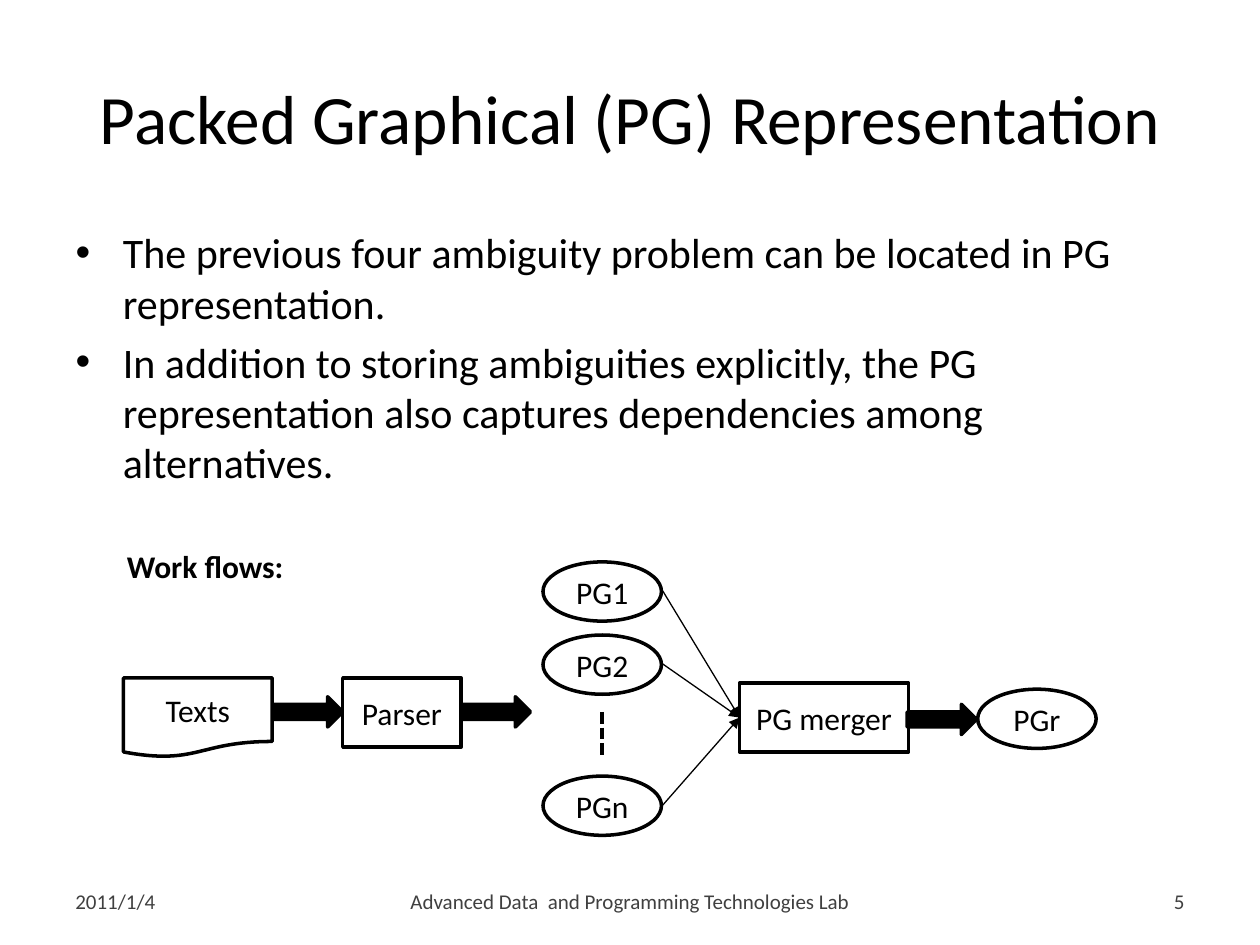
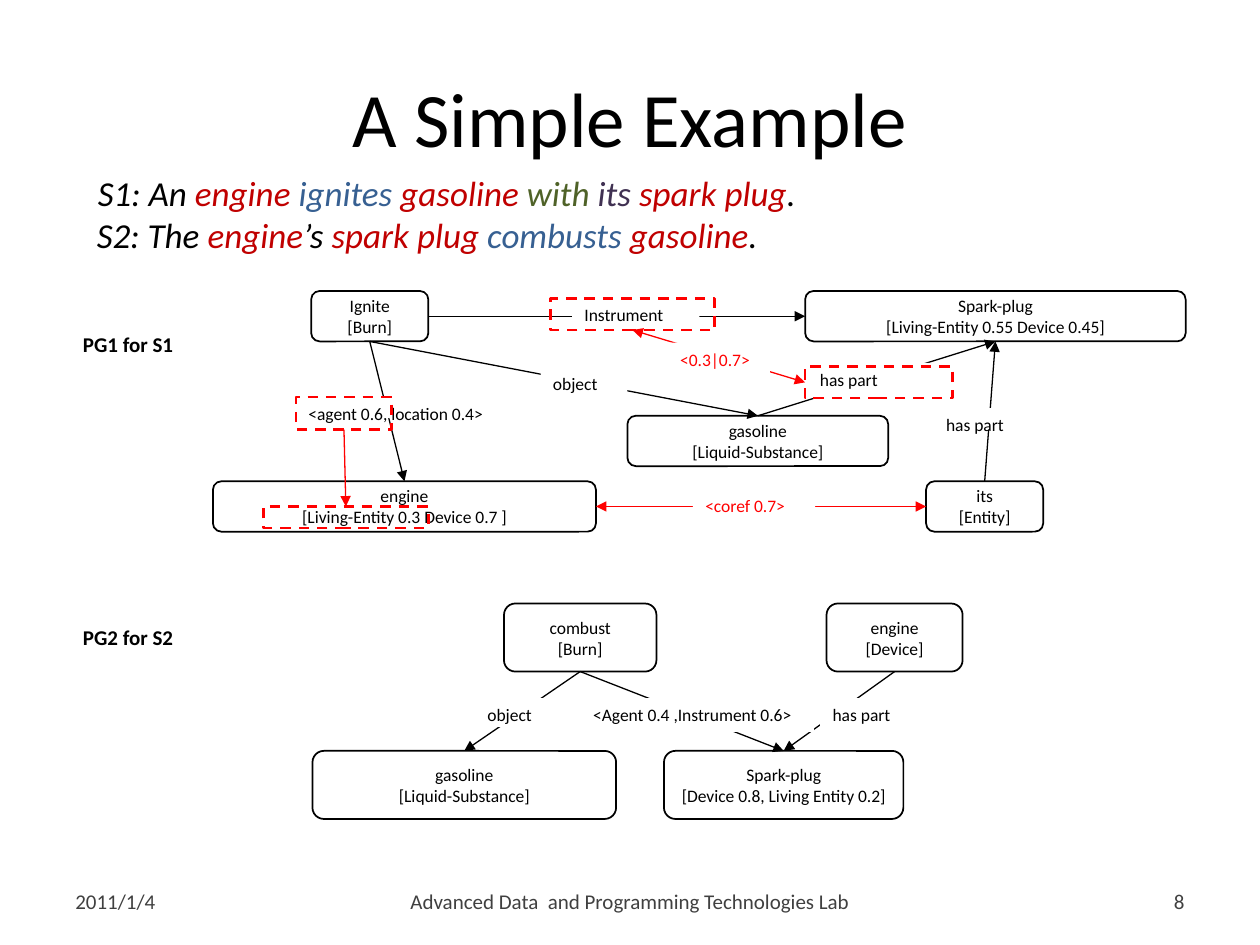
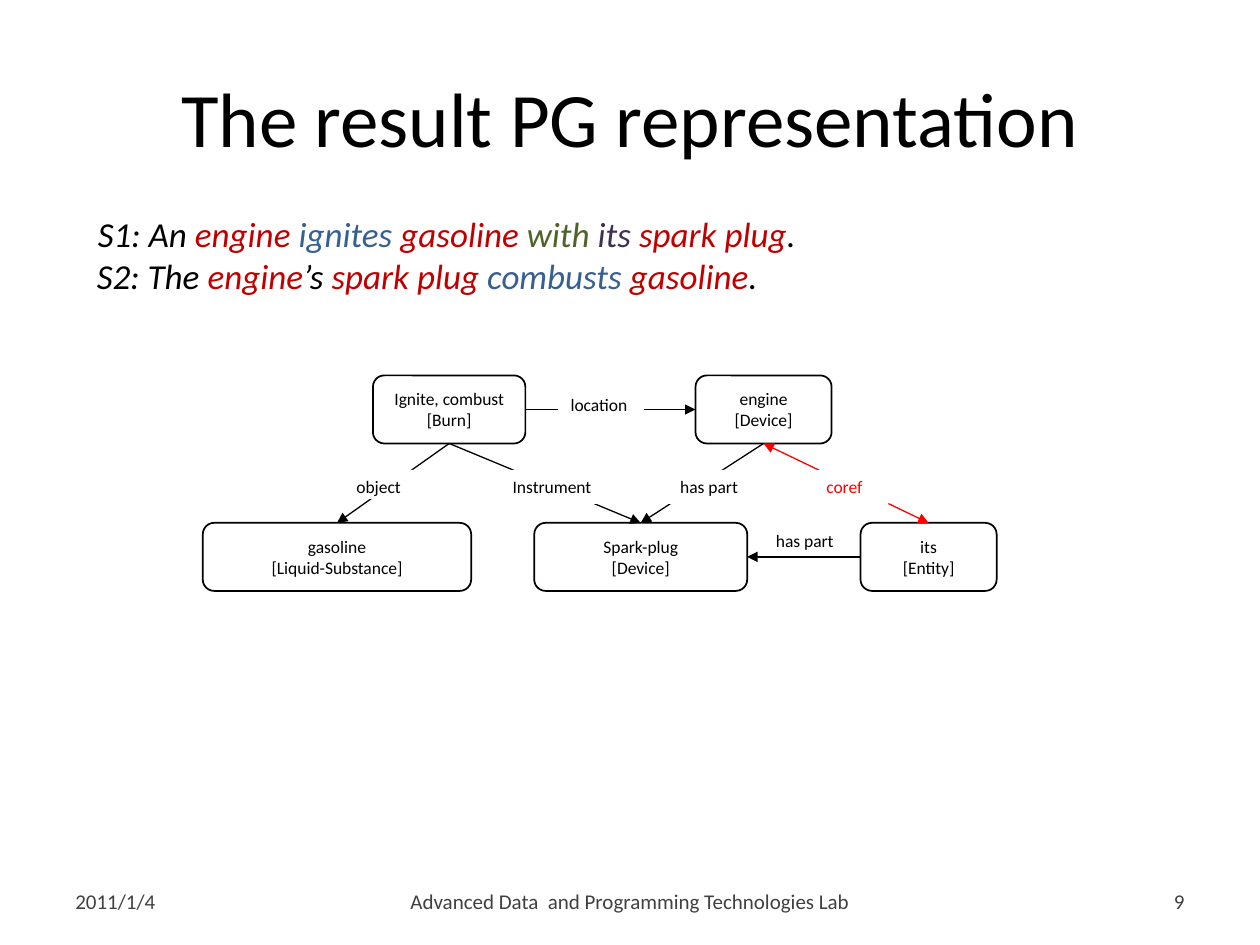
from lxml import etree
from pptx import Presentation
from pptx.dml.color import RGBColor
from pptx.enum.dml import MSO_LINE
from pptx.enum.shapes import MSO_CONNECTOR, MSO_SHAPE
from pptx.enum.text import MSO_ANCHOR, PP_ALIGN
from pptx.oxml.ns import qn
from pptx.util import Inches, Pt

RECT, ROUNDED, OVAL = MSO_SHAPE.RECTANGLE, MSO_SHAPE.ROUNDED_RECTANGLE, MSO_SHAPE.OVAL
DOCUMENT, ARROW = MSO_SHAPE.FLOWCHART_DOCUMENT, MSO_SHAPE.RIGHT_ARROW
STRAIGHT = MSO_CONNECTOR.STRAIGHT
DASH, SHORT_DASH = MSO_LINE.DASH, MSO_LINE.SQUARE_DOT
LEFT, CENTER, RIGHT = PP_ALIGN.LEFT, PP_ALIGN.CENTER, PP_ALIGN.RIGHT
TOP, MIDDLE = MSO_ANCHOR.TOP, MSO_ANCHOR.MIDDLE
TOP_SIDE, LEFT_SIDE, BOTTOM_SIDE, RIGHT_SIDE = range(4)

THEME = {
    "font": "Calibri",
    "black": RGBColor.from_string("000000"),
    "white": RGBColor.from_string("FFFFFF"),
    "gray": RGBColor.from_string("404040"),
    "red": RGBColor.from_string("FF0000"),
    "noun": RGBColor.from_string("C00000"),
    "verb": RGBColor.from_string("376092"),
    "preposition": RGBColor.from_string("4F6228"),
    "pronoun": RGBColor.from_string("403152"),
    "title": Pt(44),
    "long_title": Pt(39.6),
    "body": Pt(24),
    "sentence": Pt(20),
    "flow": Pt(18),
    "small": Pt(12),
    "node": Pt(10),
}

FLOW = {"size": "flow", "fill": "white", "line": "black", "width": 2}
SOLID_ARROW = {"fill": "black", "line": "black", "width": 2}
NODE = {"size": "node", "line": "black", "width": 1}
LABEL = {"size": "node", "fill": "white", "align": LEFT, "anchor": TOP}
FRAME = {"line": "red", "width": 1.5, "dash": DASH}
FOOTER = {"size": "small", "color": "gray"}
HEADING = {"align": LEFT, "anchor": TOP, "bold": True}
SENTENCE = {"size": "sentence", "anchor": TOP, "italic": True, "wrap": False}


def add_box(slide, at, paragraphs, preset=None, size="node", color="black", fill=None,
            line=None, width=1, dash=None, align=CENTER, anchor=MIDDLE, wrap=True, **emphasis):
    place = [Inches(value) for value in at]
    if preset is None:
        box = slide.shapes.add_textbox(*place)
    else:
        box = slide.shapes.add_shape(preset, *place)
        box.shadow.inherit = False
    if fill:
        box.fill.solid()
        box.fill.fore_color.rgb = THEME[fill]
    else:
        box.fill.background()
    if line:
        box.line.color.rgb = THEME[line]
        box.line.width = Pt(width)
        box.line.dash_style = dash
    else:
        box.line.fill.background()
    frame = box.text_frame
    frame.word_wrap = wrap
    frame.vertical_anchor = anchor
    formats = {"name": THEME["font"], "size": THEME[size], **emphasis}
    for index, runs in enumerate(paragraphs):
        paragraph = frame.add_paragraph() if index else frame.paragraphs[0]
        paragraph.alignment = LEFT if index and size == "sentence" else align
        for text, run_color in [(runs, color)] if isinstance(runs, str) else runs:
            run = paragraph.add_run()
            run.text = text
            run.font.color.rgb = THEME[run_color]
            for key, value in formats.items():
                setattr(run.font, key, value)
    return box


def add_link(slide, start, end, color="black", width=0.75, dash=None, ends=("tailEnd",)):
    points = [(0, 0) if hasattr(point[0], "shape_id") else point for point in (start, end)]
    link = slide.shapes.add_connector(
        STRAIGHT, *[Inches(value) for point in points for value in point])
    for point, join in ((start, link.begin_connect), (end, link.end_connect)):
        if hasattr(point[0], "shape_id"):
            join(*point)
    link.line.color.rgb = THEME[color]
    link.line.width = Pt(width)
    link.line.dash_style = dash
    outline = link.line._get_or_add_ln()
    for arrowhead in ends:
        etree.SubElement(outline, qn(f"a:{arrowhead}"), type="triangle")
    etree.SubElement(link._element.spPr, qn("a:effectLst"))


prs = Presentation()
prs.slide_width, prs.slide_height = Inches(10), Inches(7.5)

pages = [
    ("Packed Graphical (PG) Representation", "long_title", 1, "5"),
    ("A Simple Example", "title", 5, "8"),
    ("The result PG representation", "title", 5, "9"),
]
slides = []
for heading, heading_size, layout, number in pages:
    slide = prs.slides.add_slide(prs.slide_layouts[layout])
    slides.append(slide)
    title = slide.shapes.title
    title.left, title.top, title.width, title.height = map(Inches, (0.5, 0.3, 9, 1.25))
    title.text_frame.text = heading
    title.text_frame.vertical_anchor = MIDDLE
    title.text_frame.paragraphs[0].alignment = CENTER
    title_font = title.text_frame.paragraphs[0].runs[0].font
    for key, value in {"name": THEME["font"], "size": THEME[heading_size]}.items():
        setattr(title_font, key, value)
    title_font.color.rgb = THEME["black"]
    for left, width, text, align in (
        (0.5, 2.33, "2011/1/4", LEFT),
        (3.11, 3.78, "Advanced Data  and Programming Technologies Lab", CENTER),
        (7.17, 2.33, number, RIGHT),
    ):
        add_box(slide, (left, 6.95, width, 0.4), [text], align=align, **FOOTER)

workflow, example, result = slides

body = workflow.placeholders[1]
body.left, body.top, body.width, body.height = map(Inches, (0.5, 1.75, 9, 4.95))
body.text_frame.text = "\n".join([
    "The previous four ambiguity problem can be located in PG representation.",
    "In addition to storing ambiguities explicitly, the PG representation also captures "
    "dependencies among alternatives.",
])
for paragraph in body.text_frame.paragraphs:
    for key, value in {"name": THEME["font"], "size": THEME["body"]}.items():
        setattr(paragraph.runs[0].font, key, value)
    paragraph.runs[0].font.color.rgb = THEME["black"]

add_box(workflow, (0.91, 4.29, 1.57, 0.4), ["Work flows:"], size="flow", **HEADING)
add_box(workflow, (0.98, 5.38, 1.18, 0.63), ["Texts"], DOCUMENT, **FLOW)
add_box(workflow, (2.72, 5.38, 0.94, 0.55), ["Parser"], RECT, **FLOW)
merger = add_box(workflow, (5.87, 5.42, 1.34, 0.55), ["PG merger"], RECT, **FLOW)
for left, top in ((2.17, 5.53), (3.66, 5.53), (7.2, 5.59)):
    add_box(workflow, (left, top, 0.55, 0.24), [], ARROW, **SOLID_ARROW)
for text, top in (("PG1", 4.46), ("PG2", 5.04), ("PGn", 6.16)):
    add_box(workflow, (4.31, top, 0.94, 0.47), [text], OVAL, **FLOW)
    add_link(workflow, (5.26, top + 0.23), (merger, LEFT_SIDE))
add_box(workflow, (7.76, 5.47, 0.94, 0.47), ["PGr"], OVAL, **FLOW)
add_link(workflow, (4.78, 5.65), (4.78, 6.01), width=2.25, dash=SHORT_DASH, ends=())

sentences = [
    [("S1: An ", "black"), ("engine ", "noun"), ("ignites ", "verb"), ("gasoline ", "noun"),
     ("with ", "preposition"), ("its ", "pronoun"), ("spark plug", "noun"), (".", "black")],
    [("S2: The ", "black"), ("engine", "noun"), ("’s ", "black"), ("spark plug ", "noun"),
     ("combusts ", "verb"), ("gasoline", "noun"), (".", "black")],
]
for slide, top in ((example, 1.31), (result, 1.64)):
    add_box(slide, (0.67, top, 5.75, 0.77), sentences, **SENTENCE)

for text, top, width in (("PG1 for S1", 2.58, 1.05), ("PG2 for S2", 4.91, 1.13)):
    add_box(example, (0.56, top, width, 0.3), [text], size="small", **HEADING)

graphs = [
    {
        "slide": example,
        "height": 0.4,
        "nodes": {
            "burn": (2.47, 2.31, 0.93, "Ignite", "[Burn]"),
            "engine": (1.69, 3.82, 3.04, "engine", "[Living-Entity 0.3 Device 0.7 ]"),
            "plug": (6.39, 2.31, 3.02, "Spark-plug", "[Living-Entity 0.55 Device 0.45]"),
            "gasoline": (4.98, 3.3, 2.07, "gasoline", "[Liquid-Substance]"),
            "its": (7.35, 3.82, 0.93, "its", "[Entity]"),
        },
        "relations": [
            ("burn", BOTTOM_SIDE, "engine", TOP_SIDE),
            ("burn", RIGHT_SIDE, "plug", LEFT_SIDE),
            ("burn", BOTTOM_SIDE, "gasoline", TOP_SIDE),
            ("its", TOP_SIDE, "plug", BOTTOM_SIDE),
            ("gasoline", TOP_SIDE, "plug", BOTTOM_SIDE),
        ],
        "coreference": ("engine", RIGHT_SIDE, "its", LEFT_SIDE),
        "labels": [
            ("<agent 0.6, location 0.4>", 2.35, 3.15, 2.56, 0.17, "black"),
            ("Instrument", 4.54, 2.36, 1.01, 0.27, "black"),
            ("object", 4.29, 2.91, 0.69, 0.27, "black"),
            ("has part", 6.41, 2.88, 1.14, 0.27, "black"),
            ("has part", 7.41, 3.24, 1.08, 0.17, "black"),
            ("<coref 0.7>", 5.5, 3.88, 0.97, 0.27, "red"),
        ],
    },
    {
        "slide": example,
        "height": 0.54,
        "nodes": {
            "burn": (4, 4.79, 1.21, "combust", "[Burn]"),
            "engine": (6.56, 4.79, 1.08, "engine", "[Device]"),
            "plug": (5.27, 5.96, 1.9, "Spark-plug", "[Device 0.8, Living Entity 0.2]"),
            "gasoline": (2.48, 5.96, 2.41, "gasoline", "[Liquid-Substance]"),
        },
        "relations": [
            ("engine", BOTTOM_SIDE, "plug", TOP_SIDE),
            ("burn", BOTTOM_SIDE, "plug", TOP_SIDE),
            ("burn", BOTTOM_SIDE, "gasoline", TOP_SIDE),
        ],
        "coreference": None,
        "labels": [
            ("has part", 6.51, 5.54, 1.26, 0.23, "black"),
            ("<Agent 0.4 ,Instrument 0.6>", 4.61, 5.54, 1.85, 0.27, "black"),
            ("object", 3.77, 5.54, 0.68, 0.23, "black"),
        ],
    },
    {
        "slide": result,
        "height": 0.54,
        "nodes": {
            "burn": (2.96, 2.98, 1.21, "Ignite, combust", "[Burn]"),
            "engine": (5.52, 2.98, 1.08, "engine", "[Device]"),
            "plug": (4.24, 4.15, 1.69, "Spark-plug", "[Device]"),
            "gasoline": (1.61, 4.15, 2.13, "gasoline", "[Liquid-Substance]"),
            "its": (6.83, 4.15, 1.08, "its", "[Entity]"),
        },
        "relations": [
            ("engine", BOTTOM_SIDE, "plug", TOP_SIDE),
            ("burn", BOTTOM_SIDE, "plug", TOP_SIDE),
            ("burn", BOTTOM_SIDE, "gasoline", TOP_SIDE),
            ("its", LEFT_SIDE, "plug", RIGHT_SIDE),
            ("burn", RIGHT_SIDE, "engine", LEFT_SIDE),
        ],
        "coreference": ("engine", BOTTOM_SIDE, "its", TOP_SIDE),
        "labels": [
            ("has part", 6.06, 4.16, 0.83, 0.27, "black"),
            ("Instrument", 3.97, 3.73, 0.88, 0.27, "black"),
            ("object", 2.73, 3.73, 0.68, 0.23, "black"),
            ("has part", 5.3, 3.73, 0.83, 0.27, "black"),
            ("location", 4.43, 3.08, 0.68, 0.27, "black"),
            ("coref", 6.46, 3.73, 0.59, 0.27, "red"),
        ],
    },
]
for graph in graphs:
    slide = graph["slide"]
    labels = graph["labels"]
    if slide is result:
        text, *place, color = labels[0]
        add_box(slide, place, [text], RECT, color=color, **LABEL)
        labels = labels[1:]
    nodes = {
        name: add_box(slide, (left, top, width, graph["height"]), lines, ROUNDED, **NODE)
        for name, (left, top, width, *lines) in graph["nodes"].items()
    }
    for source, source_side, target, target_side in graph["relations"]:
        add_link(slide, (nodes[source], source_side), (nodes[target], target_side))
    if graph["coreference"]:
        source, source_side, target, target_side = graph["coreference"]
        add_link(slide, (nodes[source], source_side), (nodes[target], target_side),
                 color="red", ends=("headEnd", "tailEnd"))
    for text, *place, color in labels:
        add_box(slide, place, [text], RECT, color=color, **LABEL)

instrument, has_part, agent, living_entity = [
    add_box(example, place, [], RECT, **FRAME)
    for place in (
        (4.37, 2.37, 1.3, 0.25),
        (6.39, 2.91, 1.17, 0.25),
        (2.35, 3.15, 0.76, 0.26),
        (2.09, 4.02, 1.31, 0.17),
    )
]
add_link(example, (instrument, BOTTOM_SIDE), (has_part, LEFT_SIDE),
         color="red", ends=("headEnd", "tailEnd"))
add_link(example, (agent, BOTTOM_SIDE), (living_entity, TOP_SIDE), color="red")
add_box(example, (5.3, 2.72, 0.81, 0.27), ["<0.3|0.7>"], RECT, color="red", **LABEL)

prs.save("out.pptx")
